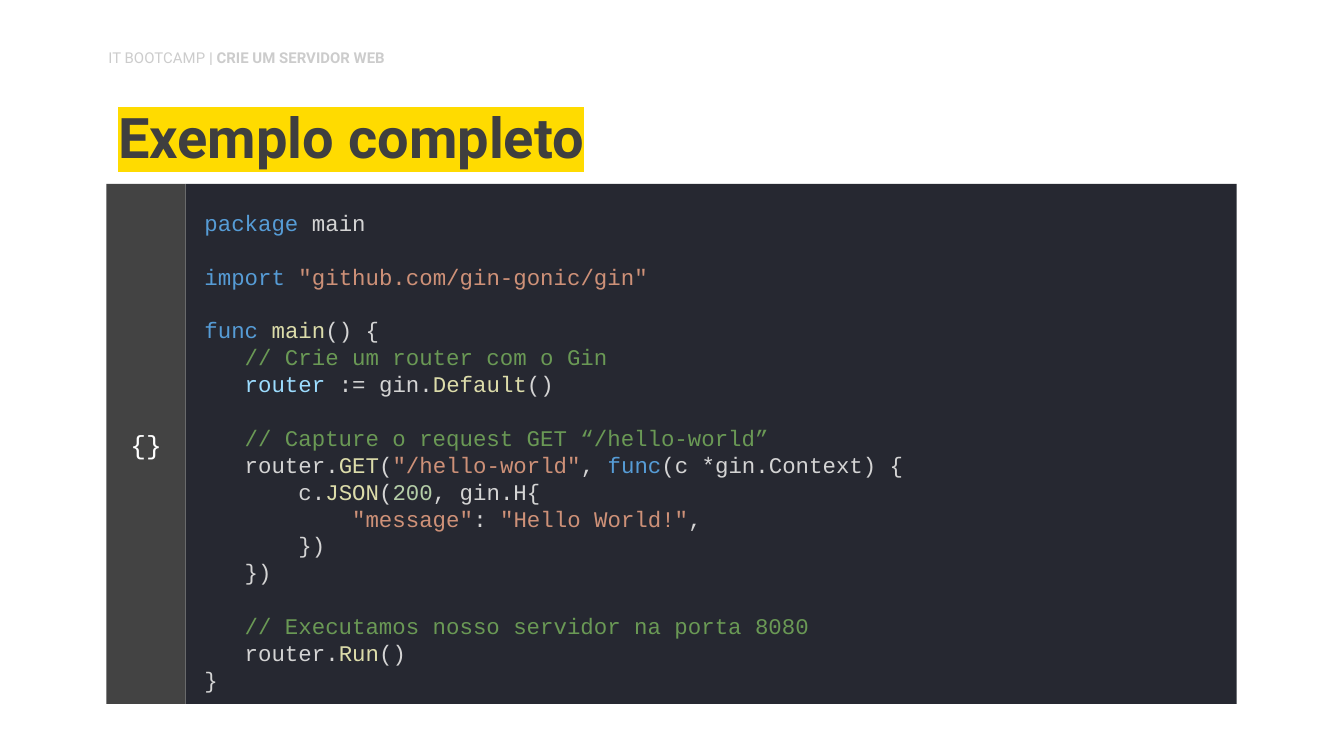
from lxml import etree
from pptx import Presentation
from pptx.dml.color import RGBColor
from pptx.enum import shapes, text
from pptx.oxml.ns import qn
from pptx.util import Pt

KEYWORD, PLAIN, STRING = "569CD6", "D4D4D4", "CE9178"
FUNC, COMMENT, VAR, NUMBER = "DCDCAA", "6A9955", "9CDCFE", "B5CEA8"

# Each block is a list of lines, each line a list of (text, colour) tokens
CODE = [
    [[("package", KEYWORD), (" main", PLAIN)]],
    [[("import ", KEYWORD), ('"github.com/gin-gonic/gin"', STRING)]],
    [
        [("func ", KEYWORD), ("main", FUNC), ("() {", PLAIN)],
        [("   // Crie um router com o Gin", COMMENT)],
        [("   router", VAR), (" := gin.", PLAIN), ("Default", FUNC), ("()", PLAIN)],
    ],
    [
        [("   // Capture o request GET “/hello-world”", COMMENT)],
        [("   router.", PLAIN), ("GET", FUNC), ("(", PLAIN), ('"/hello-world"', STRING),
         (", ", PLAIN), ("func", KEYWORD), ("(c *gin.Context) {", PLAIN)],
        [("       c.", PLAIN), ("JSON", FUNC), ("(", PLAIN), ("200", NUMBER),
         (", gin.H{", PLAIN)],
        [('           "message"', STRING), (": ", PLAIN), ('"Hello World!"', STRING),
         (",", PLAIN)],
        [("       })", PLAIN)],
        [("   })", PLAIN)],
    ],
    [
        [("   // Executamos nosso servidor na porta 8080", COMMENT)],
        [("   router.", PLAIN), ("Run", FUNC), ("()", PLAIN)],
        [("}", PLAIN)],
    ],
]


def rgb(value):
    return RGBColor.from_string(value)


def add_text(p, content, font="Roboto", size=12, color="000000", bold=False, highlight=None):
    r = p.add_run()
    r.text = content
    r.font.name, r.font.size, r.font.bold = font, Pt(size), bold
    r.font.color.rgb = rgb(color)
    if highlight:
        mark = etree.Element(qn("a:highlight"))
        etree.SubElement(mark, qn("a:srgbClr"), val=highlight)
        r.font._element.find(qn("a:latin")).addprevious(mark)
    return r


class SlideBuilder:
    sans, mono = "Roboto", "Courier New"
    line_pitch = 14.4

    def __init__(self, prs):
        self.s = prs.slides.add_slide(prs.slide_layouts[5])
        self.group = self.s.shapes.add_group_shape()

    def frame(self, sp, insets, anchor):
        tf = sp.text_frame
        tf.word_wrap = True
        tf.auto_size = text.MSO_AUTO_SIZE.NONE
        tf.vertical_anchor = anchor
        tf.margin_left, tf.margin_top, tf.margin_right, tf.margin_bottom = map(Pt, insets)
        return tf

    def title(self, content, x, y, w, h):
        sp = self.s.shapes.title
        sp.left, sp.top, sp.width, sp.height = map(Pt, (x, y, w, h))
        p = self.frame(sp, [7.2] * 4, text.MSO_ANCHOR.BOTTOM).paragraphs[0]
        p.alignment, p.line_spacing = text.PP_ALIGN.LEFT, 0.9
        add_text(p, content, self.sans, 30, "3F3F3F", True, highlight="FFDB00")

    def header(self, course, topic, x, y, w, h):
        sp = self.s.shapes.add_textbox(*map(Pt, (x, y, w, h)))
        p = self.frame(sp, (7.2, 3.6, 7.2, 3.6), text.MSO_ANCHOR.TOP).paragraphs[0]
        add_text(p, course, self.sans, 8, "CCCCCC")
        add_text(p, topic, self.sans, 8, "CCCCCC", bold=True)

    def panel(self, fill, x, y, w, h):
        sp = self.group.shapes.add_shape(
            shapes.MSO_SHAPE.RECTANGLE, *map(Pt, (x, y, w, h)))
        sp.shadow.inherit = False
        sp.fill.solid()
        sp.fill.fore_color.rgb = rgb(fill)
        sp.line.fill.background()
        return sp

    def code(self, blocks, *box):
        sp = self.panel("262831", *box)
        tf = self.frame(sp, (10, 13.4, 7.2, 0), text.MSO_ANCHOR.TOP)
        for b, block in enumerate(blocks):
            for i, line in enumerate(block):
                first = b == i == 0
                p = tf.paragraphs[0] if first else tf.add_paragraph()
                p.alignment = text.PP_ALIGN.LEFT
                p.line_spacing = Pt(self.line_pitch)
                # A blank line's height separates the blocks
                p.space_before = Pt(self.line_pitch if i == 0 and not first else 0)
                for token, color in line:
                    add_text(p, token, self.mono, 12, color)

    def badge(self, content, *box):
        sp = self.panel("434343", *box)
        p = self.frame(sp, [7.2] * 4, text.MSO_ANCHOR.MIDDLE).paragraphs[0]
        p.alignment = text.PP_ALIGN.CENTER
        add_text(p, content, self.mono, 14, "FFFFFF")


def main():
    prs = Presentation()
    prs.slide_width, prs.slide_height = Pt(720), Pt(405)
    slide = SlideBuilder(prs)

    # Heading
    slide.title("Exemplo completo", 56.2, 49, 607, 49.7)
    slide.header("IT BOOTCAMP", " | CRIE UM SERVIDOR WEB", 51, 22.3, 226, 19.4)

    # Code panel with its side badge
    left, top, height, badge_width = 57, 98.6, 278.6, 42.5
    slide.code(CODE, left + badge_width, top, 563, height)
    slide.badge("{}", left, top, badge_width, height)

    prs.save("out.pptx")


if __name__ == "__main__":
    main()
